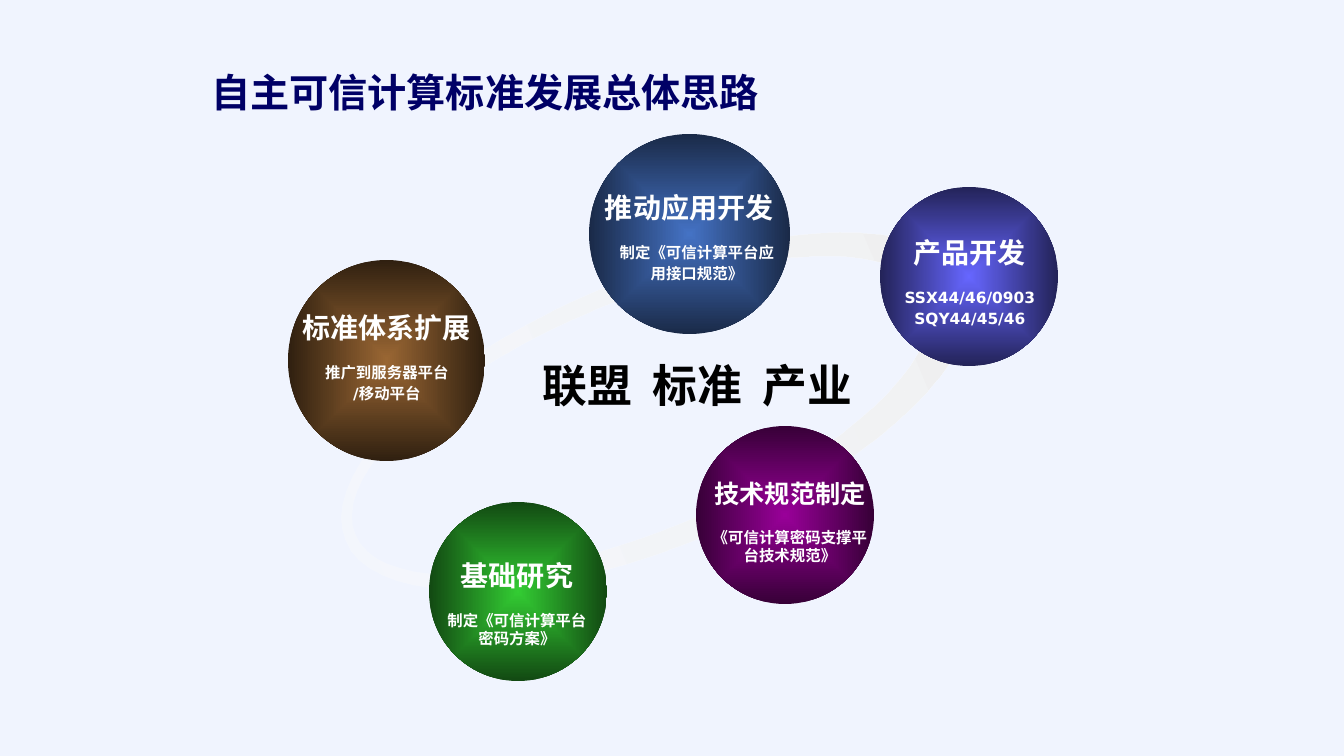
from dataclasses import dataclass
from math import cos, pi, sin

from lxml import etree
from pptx import Presentation
from pptx.dml.color import RGBColor
from pptx.enum.shapes import MSO_SHAPE as Preset
from pptx.enum.text import MSO_ANCHOR as Anchor, MSO_AUTO_SIZE as AutoSize, PP_ALIGN as Align
from pptx.oxml.ns import qn
from pptx.util import Emu, Inches, Pt

EMU_PER_PX = 914400 / 100.8
DEJAVU, NOTO = "DejaVu Sans", "Noto Sans CJK SC"
LINE_FACTOR = 1.17
COLORS = {
    "background": "F0F4FE", "title": "000066", "white": "FFFFFF", "black": "000000",
    "ring_light": "FBFBFB", "ring_dark": "F0F0F0",
    "brown": "996633", "brown_edge": "302010",
    "blue": "4472C4", "blue_edge": "1A2A48",
    "violet": "6666FF", "violet_edge": "232358",
    "purple": "990099", "purple_edge": "370037",
    "green": "33CC33", "green_edge": "124912",
}


@dataclass(frozen=True)
class Box:
    left: int
    top: int
    width: int
    height: int

    def emu(self) -> list[Emu]:
        return [px(n) for n in (self.left, self.top, self.width, self.height)]


@dataclass(frozen=True)
class Stage:
    color: str
    ball: Box
    label: Box
    heading: str
    details: tuple[str, ...]
    font: str = DEJAVU
    heading_size: int = 20
    heading_align: Align = Align.CENTER
    side_inset: float = 0.1


@dataclass(frozen=True)
class Ellipse:
    x: int
    y: int
    half_width: int
    half_height: int


STAGES = (
    Stage("brown", Box(288, 260, 197, 201), Box(286, 306, 202, 105),
          "标准体系扩展", ("推广到服务器平台", "/移动平台")),
    Stage("blue", Box(589, 134, 201, 200), Box(605, 186, 184, 105),
          "推动应用开发", ("制定《可信计算平台应", "用接口规范》"),
          heading_align=Align.LEFT, side_inset=0),
    Stage("violet", Box(880, 187, 178, 179), Box(873, 231, 194, 105),
          "产品开发", ("SSX44/46/0903", "SQY44/45/46")),
    Stage("purple", Box(696, 426, 178, 178), Box(698, 474, 184, 98),
          "技术规范制定", ("《可信计算密码支撑平台技术规范》",), NOTO, 18),
    Stage("green", Box(429, 502, 178, 179), Box(434, 554, 166, 102),
          "基础研究", ("制定《可信计算平台密码方案》",), NOTO),
)
RING_OUTER = Ellipse(656, 411, 336, 134)
RING_INNER = Ellipse(640, 409, 309, 115)


def px(length: float) -> Emu:
    return Emu(round(length * EMU_PER_PX))


def set_gradient(shape, stops: list[tuple[str, int]], radial: bool) -> None:
    """Fill with two (colour, opacity percent) stops and no outline."""
    shape.shadow.inherit = False
    shape.line.fill.background()
    shape.fill.background()
    gradient = etree.Element(qn("a:gradFill"), rotWithShape="1")
    stop_list = etree.SubElement(gradient, qn("a:gsLst"))
    for position, (name, opacity) in zip(("0", "100000"), stops):
        stop = etree.SubElement(stop_list, qn("a:gs"), pos=position)
        color = etree.SubElement(stop, qn("a:srgbClr"), val=COLORS[name])
        if opacity < 100:
            etree.SubElement(color, qn("a:alpha"), val=str(opacity * 1000))
    if radial:
        center = etree.SubElement(gradient, qn("a:path"))
        center.set("path", "shape")
        etree.SubElement(center, qn("a:fillToRect"),
                         {side: "50000" for side in "ltrb"})
    else:
        etree.SubElement(gradient, qn("a:lin"), ang="0", scaled="1")
    properties = shape.element.spPr
    properties.replace(properties.find(qn("a:noFill")), gradient)


def format_para(para, font: str, size: int, color: str,
                align: Align = Align.CENTER, before: float = 0,
                line: float | None = None) -> None:
    para.alignment = align
    para.space_before = Pt(before)
    para.line_spacing = Pt(line or round(size * LINE_FACTOR, 1))
    for span in para.runs:
        span.font.name = font
        span.font.size = Pt(size)
        span.font.bold = True
        span.font.color.rgb = RGBColor.from_string(COLORS[color])
        properties = span.font._element
        properties.set("lang", "zh-CN")
        east_asian = etree.Element(qn("a:ea"), typeface=font)
        properties.find(qn("a:latin")).addnext(east_asian)


def add_text_box(page, box: Box, side_inset: float = 0.1):
    frame = page.shapes.add_textbox(*box.emu()).text_frame
    frame.word_wrap = True
    frame.margin_left = frame.margin_right = Inches(side_inset)
    return frame


def add_ring(page) -> None:
    def outline(ellipse: Ellipse, direction: int) -> list[tuple[Emu, Emu]]:
        angles = [direction * 2 * pi * step / 72 for step in range(72)]
        return [(px(ellipse.x + ellipse.half_width * cos(angle)),
                 px(ellipse.y + ellipse.half_height * sin(angle))) for angle in angles]

    outer, inner = outline(RING_OUTER, 1), outline(RING_INNER, -1)
    builder = page.shapes.build_freeform(*outer[0])
    builder.add_line_segments(outer[1:], close=True)
    builder.move_to(*inner[0])
    builder.add_line_segments(inner[1:], close=True)
    ring = builder.convert_to_shape()
    ring.rotation = 337.4
    set_gradient(ring, [("ring_light", 36), ("ring_dark", 100)], radial=False)


def add_stage(page, stage: Stage) -> None:
    ball = page.shapes.add_shape(Preset.OVAL, *stage.ball.emu())
    set_gradient(ball, [(stage.color, 100), (stage.color + "_edge", 100)], radial=True)
    frame = add_text_box(page, stage.label, stage.side_inset)
    frame.text = "\n".join((stage.heading, *stage.details))
    heading, *details = frame.paragraphs
    format_para(heading, stage.font, stage.heading_size, "white",
                align=stage.heading_align)
    for index, para in enumerate(details):
        format_para(para, stage.font, 11, "white", before=2.5 if index else 14)


def add_title(page) -> None:
    title = page.shapes.title
    title.left, title.top, title.width, title.height = Box(201, 49, 580, 71).emu()
    frame = title.text_frame
    frame.text = "自主可信计算标准发展总体思路"
    frame.word_wrap = True
    frame.auto_size = AutoSize.NONE
    frame.vertical_anchor = Anchor.BOTTOM
    format_para(frame.paragraphs[0], NOTO, 28, "title", align=Align.LEFT, line=32)


def add_center_words(page) -> None:
    para = add_text_box(page, Box(496, 352, 403, 65)).paragraphs[0]
    for text in ("联盟", " ", "标准", " ", "产业"):
        para.add_run().text = text
    format_para(para, NOTO, 32, "black", line=39)
    for gap in para.runs[1::2]:
        gap.font._element.set("spc", "720")


def main() -> None:
    deck = Presentation()
    deck.slide_width, deck.slide_height = px(1344), px(756)
    page = deck.slides.add_slide(deck.slide_layouts[5])
    page.background.fill.solid()
    page.background.fill.fore_color.rgb = RGBColor.from_string(COLORS["background"])
    # Ring behind the five stages
    add_ring(page)
    for stage in STAGES:
        add_stage(page, stage)
    # Standing text
    add_center_words(page)
    add_title(page)
    deck.save("out.pptx")


if __name__ == "__main__":
    main()
